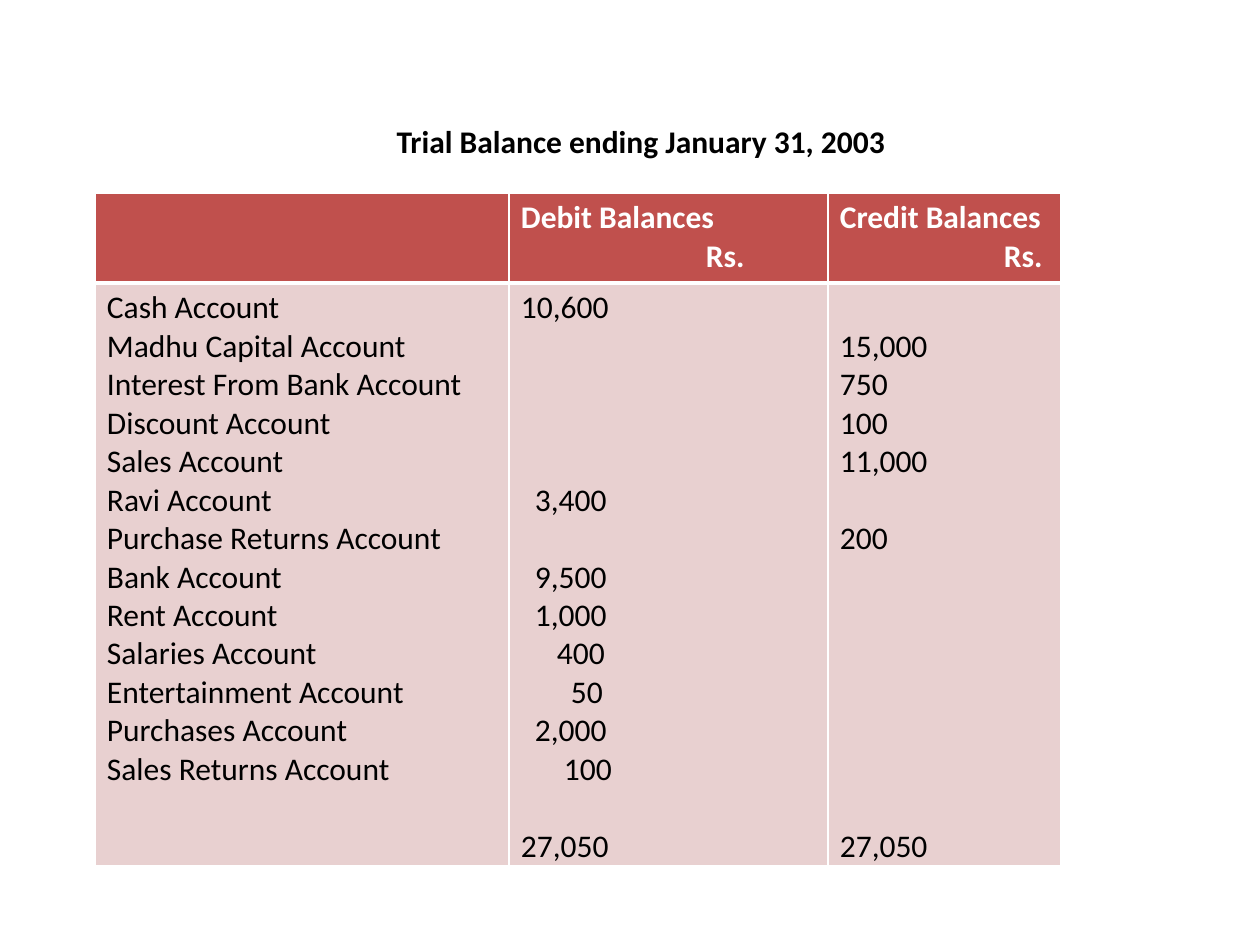
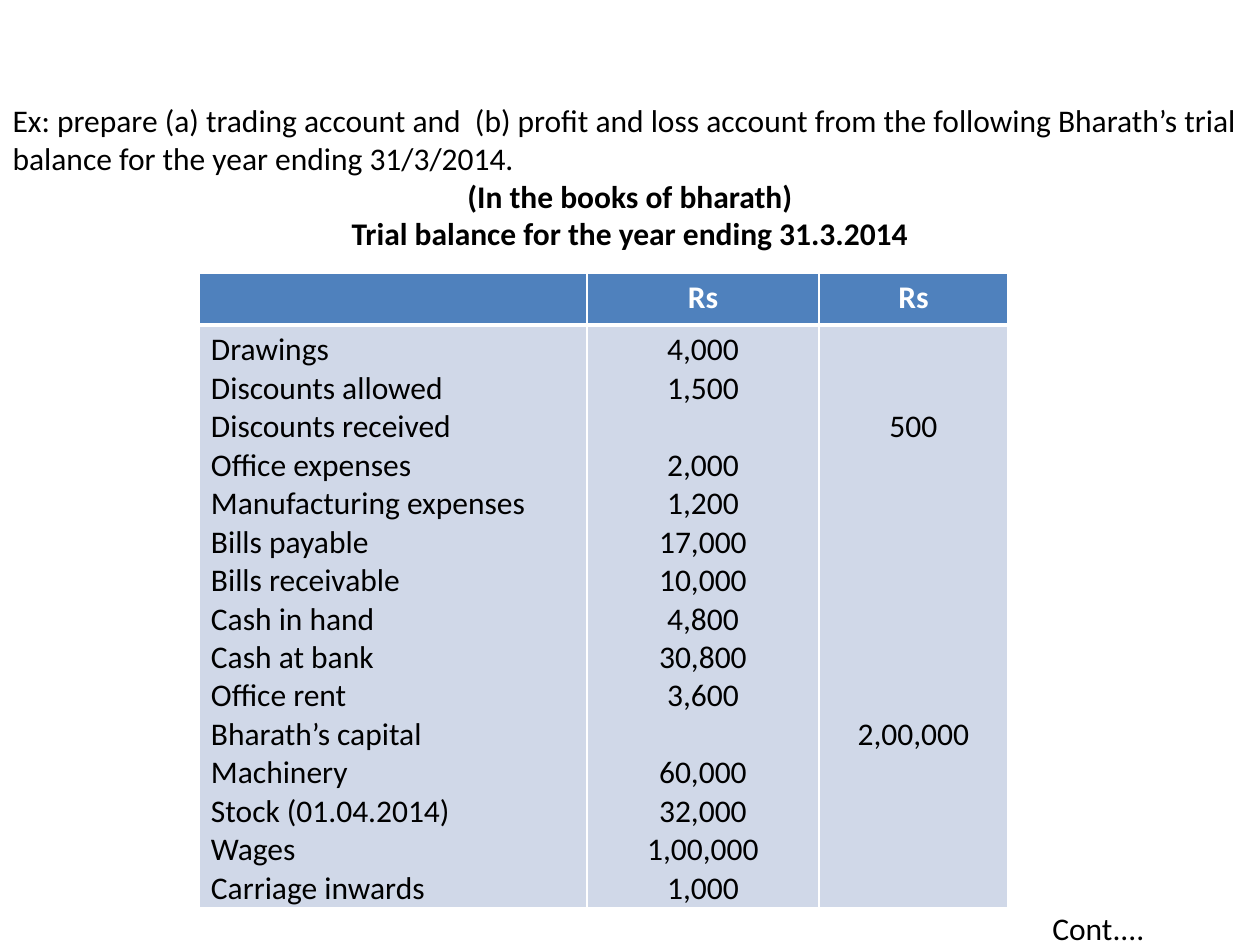
from lxml import etree
from pptx import Presentation
from pptx import util as u
from pptx.dml.color import RGBColor
from pptx.enum import text
from pptx.oxml.ns import qn

SCALE = 914400 / 126  # EMU per px
FONT, FONT_SIZE, LINE_HEIGHT = "Calibri", 18, 21.97  # points
BLACK, WHITE = RGBColor(0, 0, 0), RGBColor(255, 255, 255)
RED, PALE_RED = RGBColor(0xC0, 0x50, 0x4D), RGBColor(0xE8, 0xD0, 0xD0)
BLUE, PALE_BLUE = RGBColor(0x4F, 0x81, 0xBD), RGBColor(0xD0, 0xD8, 0xE8)
LEFT, CENTER = text.PP_ALIGN.LEFT, text.PP_ALIGN.CENTER


def px(length):
    return u.Emu(round(length * SCALE))


def write_lines(frame, lines, color=BLACK, bold=False, align=LEFT):
    """Write a line per entry: text or (indent, text); "" skips a line's height."""
    skipped, paragraph = 0, None
    for line in lines:
        if not line:
            skipped += 1
            continue
        indent, words = line if isinstance(line, tuple) else (0, line)
        gap = u.Pt(skipped * LINE_HEIGHT)
        if paragraph is None:
            paragraph = frame.paragraphs[0]
            frame.margin_top = px(6) + gap
        else:
            paragraph = frame.add_paragraph()
            paragraph.space_before = gap
        paragraph.text = words
        paragraph.alignment = align
        if indent:
            properties = paragraph._p.get_or_add_pPr()
            properties.set("marL", str(px(indent)))
            properties.set("indent", "0")
        font = paragraph.font
        font.name, font.size, font.bold = FONT, u.Pt(FONT_SIZE), bold
        font.color.rgb = color
        skipped = 0


pages = [
    {
        "title_box": (95, 116, 1092, 50),
        "title": ["Trial Balance ending January 31, 2003"],
        "table_at": (95, 193),
        "widths": (414, 319, 233),
        "heights": (90, 578),
        "colors": (RED, PALE_RED),
        "value_align": LEFT,
        "headings": [[], ["Debit Balances", (185, "Rs.")], ["Credit Balances", (164, "Rs.")]],
        "columns": [
            ["Cash Account", "Madhu Capital Account", "Interest From Bank Account",
             "Discount Account", "Sales Account", "Ravi Account",
             "Purchase Returns Account", "Bank Account", "Rent Account",
             "Salaries Account", "Entertainment Account", "Purchases Account",
             "Sales Returns Account"],
            ["10,600", "", "", "", "", (14, "3,400"), "", (14, "9,500"), (14, "1,000"),
             (36, "400"), (50, "50"), (14, "2,000"), (43, "100"), "", "27,050"],
            ["", "15,000", "750", "100", "11,000", "", "200",
             "", "", "", "", "", "", "", "27,050"],
        ],
    },
    {
        "title_box": (0, 95, 1260, 165),
        "title": [
            "Ex: prepare (a) trading account and  (b) profit and loss account from the "
            "following Bharath’s trial balance for the year ending 31/3/2014.",
            "(In the books of bharath)",
            "Trial balance for the year ending 31.3.2014",
        ],
        "table_at": (199, 273),
        "widths": (388, 232, 189),
        "heights": (52, 579),
        "colors": (BLUE, PALE_BLUE),
        "value_align": CENTER,
        "headings": [[], ["Rs"], ["Rs"]],
        "columns": [
            ["Drawings", "Discounts allowed", "Discounts received", "Office expenses",
             "Manufacturing expenses", "Bills payable", "Bills receivable",
             "Cash in hand", "Cash at bank", "Office rent", "Bharath’s capital",
             "Machinery", "Stock (01.04.2014)", "Wages", "Carriage inwards"],
            ["4,000", "1,500", "", "2,000", "1,200", "17,000", "10,000", "4,800",
             "30,800", "3,600", "", "60,000", "32,000", "1,00,000", "1,000"],
            ["", "", "500", "", "", "", "", "", "", "", "2,00,000"],
        ],
    },
]

presentation = Presentation()
presentation.slide_width, presentation.slide_height = px(1260), px(945)

for page in pages:
    slide = presentation.slides.add_slide(presentation.slide_layouts[5])

    # Title
    title = slide.shapes.title
    title.left, title.top, title.width, title.height = map(px, page["title_box"])
    frame = title.text_frame
    frame.word_wrap = True
    frame.auto_size = text.MSO_AUTO_SIZE.NONE
    frame.vertical_anchor = text.MSO_ANCHOR.TOP
    write_lines(frame, page["title"], bold=True, align=CENTER)

    # Trial balance table
    left, top = page["table_at"]
    widths, heights = page["widths"], page["heights"]
    table = slide.shapes.add_table(2, 3, px(left), px(top),
                                   px(sum(widths)), px(sum(heights))).table
    for row, height in zip(table.rows, heights):
        row.height = px(height)
    for column, width in enumerate(widths):
        table.columns[column].width = px(width)
        for row, lines in enumerate((page["headings"][column], page["columns"][column])):
            cell = table.cell(row, column)
            cell.fill.solid()
            cell.fill.fore_color.rgb = page["colors"][row]
            cell.margin_left = cell.margin_right = px(12)
            cell.margin_bottom = px(0 if row else 6)
            align = page["value_align"] if column else LEFT
            write_lines(cell.text_frame, lines, BLACK if row else WHITE, not row, align)
            # The top margin of a cell belongs to the cell, not to its text
            skipped = next((i for i, line in enumerate(lines) if line), 0)
            cell.margin_top = px(6) + u.Pt(skipped * LINE_HEIGHT)

            # White cell borders, heavier under the heading
            heavy = "lnT" if row else "lnB"
            for place, side in enumerate(("lnL", "lnR", "lnT", "lnB")):
                border = etree.Element(qn("a:" + side), w=str(u.Pt(3 if side == heavy else 1)))
                fill = etree.SubElement(border, qn("a:solidFill"))
                etree.SubElement(fill, qn("a:srgbClr"), val=str(WHITE))
                cell._tc.get_or_add_tcPr().insert(place, border)

# The exercise text above the second heading is plain and left-aligned
exercise = frame.paragraphs[0]
exercise.alignment, exercise.font.bold = LEFT, False

# Continuation mark
continuation = slide.shapes.add_textbox(px(1040), px(903), px(189), px(50))
continuation.text_frame.word_wrap = True
write_lines(continuation.text_frame, ["Cont...."])

presentation.save("out.pptx")
